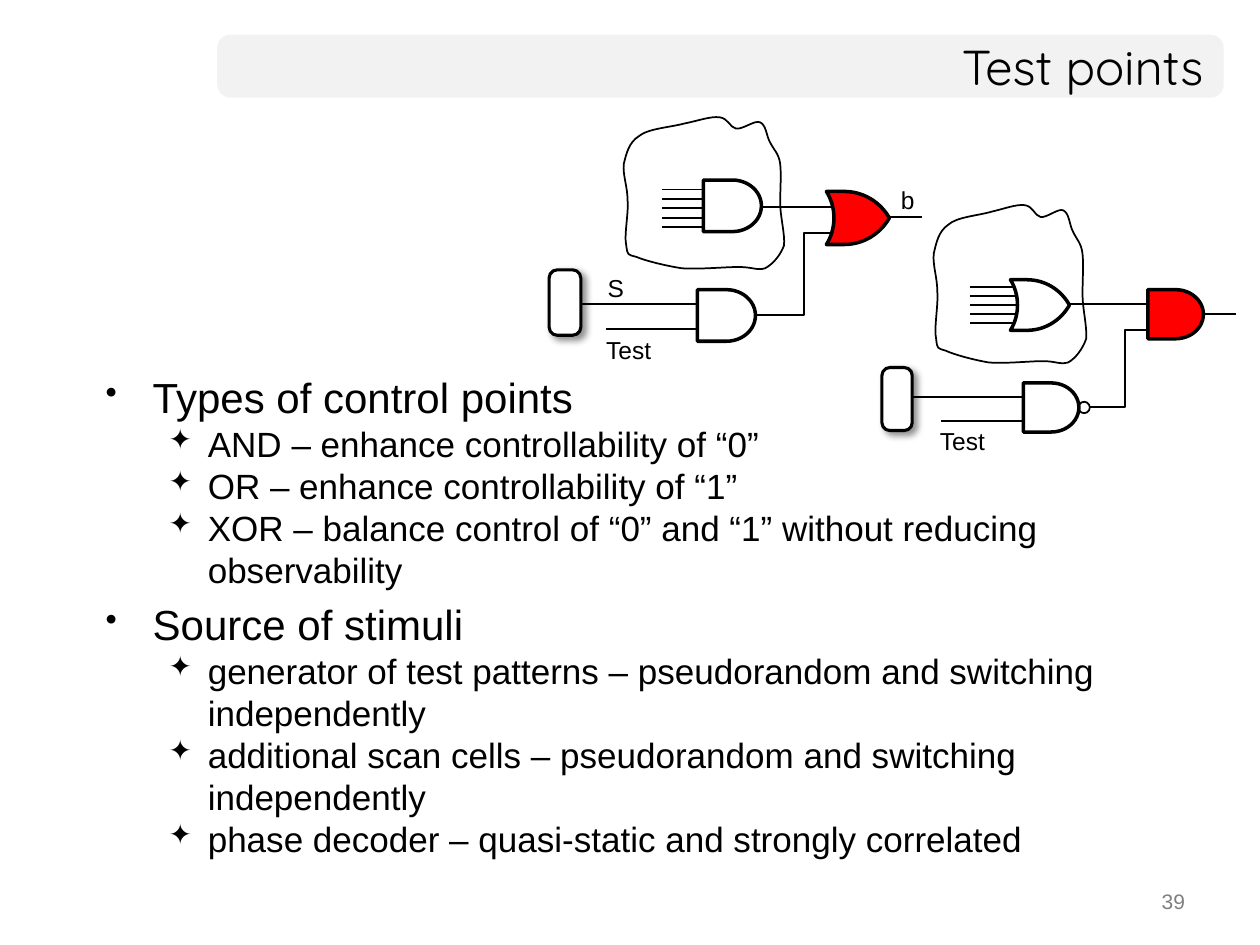
import pptx
import pptx.util
import pptx.dml.color
import pptx.oxml
import pptx.oxml.ns
import pptx.enum.shapes
import pptx.enum.text
from lxml import etree

Cm, Pt = pptx.util.Cm, pptx.util.Pt
SHAPE = pptx.enum.shapes.MSO_SHAPE
ALIGN = pptx.enum.text.PP_ALIGN
ANCHOR = pptx.enum.text.MSO_ANCHOR
qn = pptx.oxml.ns.qn
COLORS = {"black": "000000", "white": "FFFFFF", "red": "FF0000",
          "bar": "F2F2F2", "number": "808080"}

# Outlines: a start point, then (control, control, end) per curve
CLOUD_SIZE = (129, 123)
CLOUD = [(4, 67),
         (4, 56, 0, 47, 1, 38), (3, 30, 5, 21, 13, 16), (20, 10, 38, 9, 49, 6),
         (59, 4, 70, 0, 77, 1), (84, 2, 85, 9, 90, 10), (95, 11, 105, 3, 109, 5),
         (114, 7, 114, 16, 117, 21), (120, 27, 124, 30, 125, 38),
         (126, 46, 125, 59, 125, 69), (125, 80, 129, 94, 128, 103),
         (125, 111, 119, 118, 113, 121), (107, 123, 103, 120, 92, 120),
         (81, 120, 61, 122, 47, 121), (34, 119, 18, 115, 11, 112),
         (4, 110, 4, 111, 3, 103), (1, 95, 5, 77, 4, 67)]
OR_SIZE = (100, 100)
OR_GATE = [(0, 0), (16, 30, 16, 70, 0, 100), (10, 100, 20, 100, 28, 100),
           (58, 100, 85, 81, 100, 50), (85, 19, 58, 0, 28, 0),
           (20, 0, 10, 0, 0, 0)]


class SlideBuilder:
    font = "Arial"
    thin, thick = 1, 2

    def __init__(self, slide):
        self.s = slide

    def color(self, name):
        return pptx.dml.color.RGBColor.from_string(COLORS[name])

    def paint(self, sp, fill, width):
        sp.shadow.inherit = False
        if fill:
            sp.fill.solid()
            sp.fill.fore_color.rgb = self.color(fill)
        else:
            sp.fill.background()
        if width:
            sp.line.color.rgb = self.color("black")
            sp.line.width = Pt(width)
        else:
            sp.line.fill.background()
        return sp

    def shape(self, kind, x, y, w, h, fill="white", width=thick, adj=None):
        sp = self.s.shapes.add_shape(kind, Cm(x), Cm(y), Cm(w), Cm(h))
        if adj is not None:
            sp.adjustments[0] = adj
        return self.paint(sp, fill, width)

    def register(self, x, y, w, h):
        sp = self.shape(SHAPE.ROUNDED_RECTANGLE, x, y, w, h, width=1.75, adj=0.26)
        effects = sp._element.spPr.find(qn("a:effectLst"))
        shadow = etree.SubElement(effects, qn("a:outerShdw"), blurRad=str(Pt(4)),
                                  dist=str(Pt(3)), dir="2700000", rotWithShape="0")
        clr = etree.SubElement(shadow, qn("a:srgbClr"), val=COLORS["black"])
        etree.SubElement(clr, qn("a:alpha"), val="43000")

    def wire(self, x1, y1, x2, width=thin):
        """Horizontal wire."""
        ln = self.s.shapes.add_connector(pptx.enum.shapes.MSO_CONNECTOR.STRAIGHT,
                                         Cm(x1), Cm(y1), Cm(x2), Cm(y1))
        ln.line.color.rgb = self.color("black")
        ln.line.width = Pt(width)
        etree.SubElement(ln._element.spPr, qn("a:effectLst"))

    def freeform(self, points, fill=None, width=thin, close=False):
        pts = [(Cm(x), Cm(y)) for x, y in points]
        fb = self.s.shapes.build_freeform(*pts[0])
        fb.add_line_segments(pts[1:], close=close)
        return self.paint(fb.convert_to_shape(), fill, width)

    def outline(self, curves, size, x, y, w, h, fill="white", width=thin):
        """Closed outline whose segments are cubic curves."""
        def place(px, py):
            return x + px * w / size[0], y + py * h / size[1]

        sp = self.freeform([place(*c[-2:]) for c in curves], fill, width, True)
        segments = list(sp._element.iter(qn("a:lnTo")))
        for segment, curve in zip(segments, curves[1:]):
            bezier = etree.Element(qn("a:cubicBezTo"))
            for i in (0, 2, 4):
                px, py = place(*curve[i:i + 2])
                etree.SubElement(bezier, qn("a:pt"), x=str(Cm(px) - sp.left),
                                 y=str(Cm(py) - sp.top))
            segment.getparent().replace(segment, bezier)

    def or_gate(self, x, y, w, h, fill="white"):
        self.outline(OR_GATE, OR_SIZE, x, y, w, h, fill, self.thick)
        for edge in (y, y + h):
            self.wire(x, edge, x + 0.28 * w, 0.75)

    def and_gate(self, x, y, w, h, fill="white"):
        self.shape(SHAPE.FLOWCHART_DELAY, x, y, w, h, fill)

    def fan_in(self, x1, x2, y, step):
        for i in range(5):
            self.wire(x1, y + i * step, x2)

    def run(self, p, text, size, color="black", font=None):
        r = p.add_run()
        r.text = text
        r.font.size = Pt(size)
        r.font.name = font or self.font
        r.font.color.rgb = self.color(color)

    def box(self, x, y, w, h, anchor=ANCHOR.TOP, wrap=True):
        tf = self.s.shapes.add_textbox(Cm(x), Cm(y), Cm(w), Cm(h)).text_frame
        tf.word_wrap = wrap
        tf.vertical_anchor = anchor
        return tf

    def text(self, text, x, y, w, h, size=14, align=ALIGN.LEFT,
             anchor=ANCHOR.TOP, wrap=True, **style):
        p = self.box(x, y, w, h, anchor, wrap).paragraphs[0]
        p.alignment = align
        self.run(p, text, size, **style)

    def bullets(self, items, x, y, w, h):
        tf = self.box(x, y, w, h)
        for i, (level, text) in enumerate(items):
            p = tf.paragraphs[0] if i == 0 else tf.add_paragraph()
            char, left, hang, size = (("•", 0.95, 0.95, 24),
                                      ("✦", 2.06, 0.79, 20))[level]
            pPr = p._p.get_or_add_pPr()
            pPr.set("marL", str(Cm(left)))
            pPr.set("indent", str(-Cm(hang)))
            p.space_before = Pt(4.8 if i and level == 0 else 0)
            etree.SubElement(pPr, qn("a:buSzPct"), val="80000")
            etree.SubElement(pPr, qn("a:buChar"), char=char)
            p.level = level
            self.run(p, text, size)


def main():
    prs = pptx.Presentation()
    prs.slide_width, prs.slide_height = Cm(25.4), Cm(19.05)
    s = SlideBuilder(prs.slides.add_slide(prs.slide_layouts[6]))

    # Title bar and slide number
    s.shape(SHAPE.ROUNDED_RECTANGLE, 4.38, 0.7, 20.29, 1.27, "bar", None, 0.21)
    s.text("39", 18.22, 17.78, 5.92, 0.89, 12, ALIGN.RIGHT, color="number")
    s.text("Test points", 4.37, 0.69, 20.14, 1.27, 28, ALIGN.RIGHT,
           ANCHOR.MIDDLE, font="Quicksand")

    # Body
    s.bullets([
        (0, "Types of control points"),
        (1, "AND – enhance controllability of “0”"),
        (1, "OR – enhance controllability of “1”"),
        (1, "XOR – balance control of “0” and “1” without reducing observability"),
        (0, "Source of stimuli"),
        (1, "generator of test patterns – pseudorandom and switching independently"),
        (1, "additional scan cells – pseudorandom and switching independently"),
        (1, "phase decoder – quasi-static and strongly correlated"),
    ], 1.88, 7.37, 22.86, 10.19)

    # AND-type control point (right circuit)
    s.wire(23.67, 6.33, 24.92)
    s.wire(18.16, 8, 20.8)
    s.wire(18.97, 8.48, 20.96)
    s.freeform([(21.69, 8.2), (22.68, 8.2), (22.68, 6.65), (23.52, 6.65)])
    s.outline(CLOUD, CLOUD_SIZE, 18.8, 4.11, 3.12, 3.25)
    s.wire(21.41, 6.13, 23.27)
    s.fan_in(19.56, 20.7, 5.79, 0.18)
    s.or_gate(20.37, 5.64, 1.19, 1.02)
    s.and_gate(23.14, 5.84, 1.12, 0.99, "red")
    s.shape(SHAPE.FLOWCHART_CONNECTOR, 21.74, 8.1, 0.23, 0.23, width=1)
    s.and_gate(20.63, 7.72, 1.12, 0.99)
    s.text("Test", 18.7, 8.46, 1.65, 0.86, anchor=ANCHOR.MIDDLE)
    s.register(17.78, 7.41, 0.61, 1.27)

    # OR-type control point (left circuit)
    s.wire(17.09, 4.37, 18.59)
    s.wire(11.46, 6.13, 14.63)
    s.wire(12.22, 6.63, 14.68)
    s.freeform([(15.16, 6.35), (16.21, 6.35), (16.21, 4.7), (17.09, 4.7)])
    s.outline(CLOUD, CLOUD_SIZE, 12.55, 2.34, 3.28, 3.12)
    s.fan_in(13.35, 14.55, 3.82, 0.19)
    s.wire(14.78, 4.17, 16.94)
    s.and_gate(14.06, 5.84, 1.17, 1.04)
    s.text("Test", 11.97, 6.63, 1.6, 0.86, anchor=ANCHOR.MIDDLE)
    s.and_gate(14.18, 3.63, 1.17, 1.04)
    s.or_gate(16.66, 3.86, 1.27, 1.07, "red")
    s.register(11.07, 5.44, 0.64, 1.32)
    s.text("S", 12, 5.38, 0.84, 0.86, wrap=False)
    s.text("b", 17.91, 3.61, 0.79, 0.86, wrap=False)

    prs.save("out.pptx")


if __name__ == "__main__":
    main()
